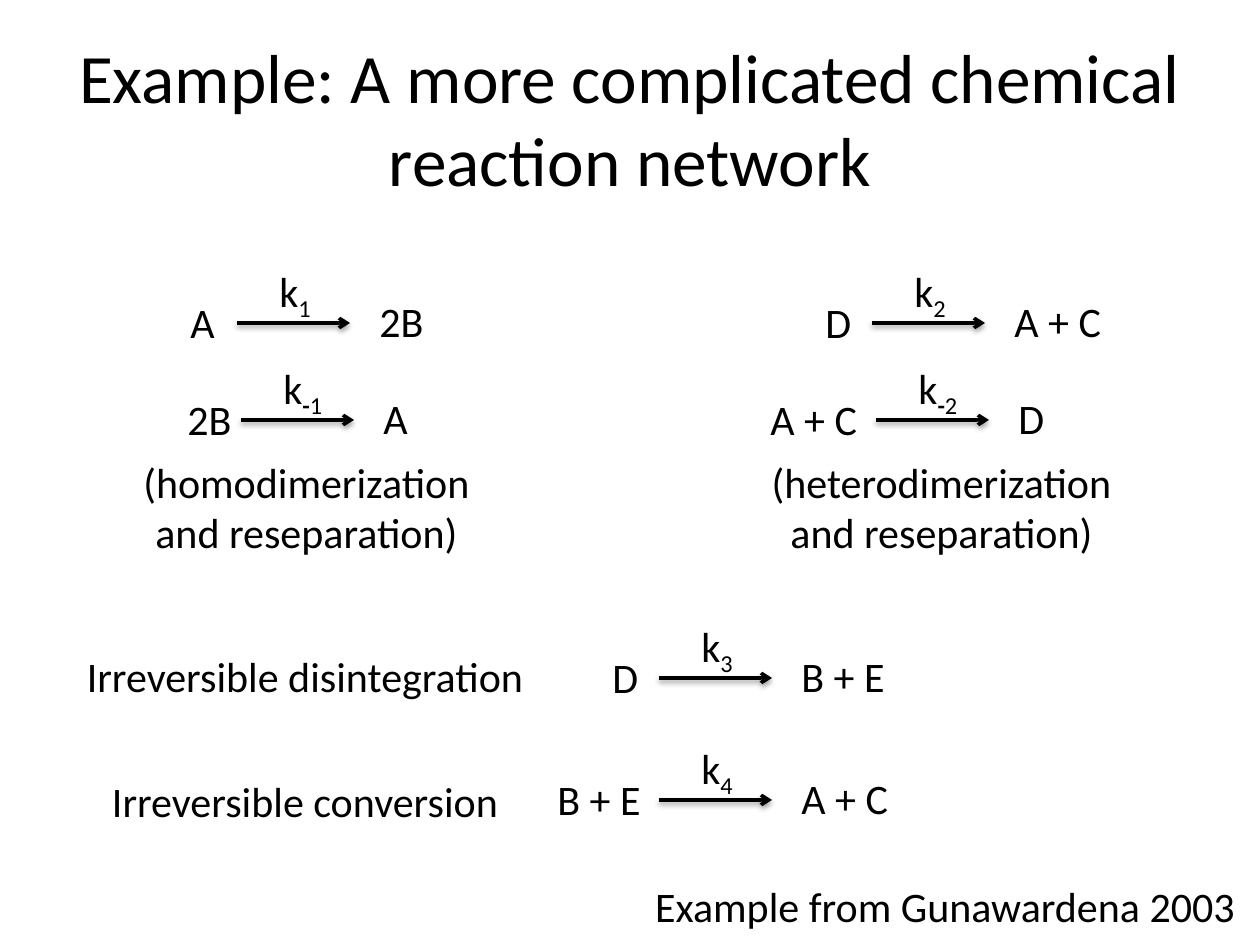
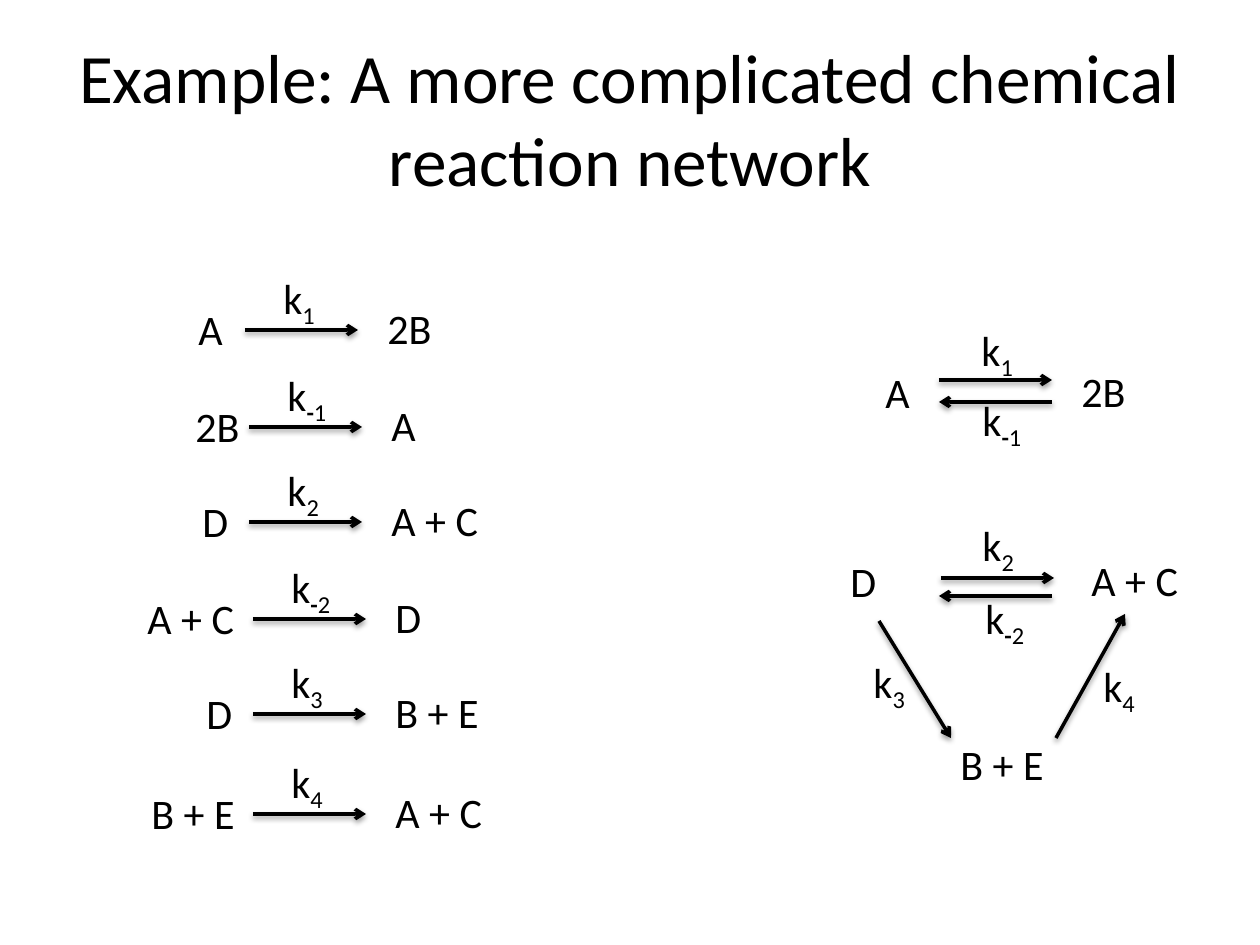
"""Build two slides on a chemical reaction network."""
import pptx
import pptx.util
import pptx.dml.color
import pptx.enum.shapes
import pptx.enum.text
import pptx.oxml
import pptx.oxml.ns

DPI = 126
FONT, INK = "Calibri", "000000"
HEAD, BODY = 39.6, 24
ARROW = 113
BOX = 63
TITLE = "Example: A more complicated chemical reaction network"

# left side, rate, right side, arrow start x, arrow y
FIRST = [
    ("A", "1", "2B", 237, 323),
    ("2B", "-1", "A", 241, 420),
    ("D", "2", "A + C", 872, 323),
    ("A + C", "-2", "D", 876, 420),
    ("D", "3", "B + E", 659, 678),
    ("B + E", "4", "A + C", 659, 800),
]
NOTES = [
    ("(homodimerization and reseparation)", 123, 450, 367),
    ("(heterodimerization and reseparation)", 743, 450, 397),
    ("Irreversible disintegration", 24, 644, 562),
    ("Irreversible conversion", 24, 769, 562),
    ("Example from Gunawardena 2003", 587, 874, 716),
]
SECOND = [
    ("A", "1", "2B", 245, 330),
    ("2B", "-1", "A", 249, 427),
    ("D", "2", "A + C", 249, 522),
    ("A + C", "-2", "D", 253, 619),
    ("D", "3", "B + E", 253, 714),
    ("B + E", "4", "A + C", 253, 814),
]
NODES = [
    ("A", 873, 360), ("2B", 1069, 359),
    ("D", 838, 549), ("A + C", 1079, 548), ("B + E", 948, 732),
]
RATES = [
    ("1", 969, 318), ("-1", 970, 388), ("2", 970, 513),
    ("-2", 973, 586), ("3", 861, 650), ("4", 1091, 654),
]
PATHS = [
    (939, 380, 1052, 380), (1052, 402, 939, 402),
    (941, 578, 1054, 578), (1052, 596, 939, 596),
    (879, 621, 951, 738), (1056, 738, 1125, 614),
]
WIDTH = {1: 59, 2: 90, 5: 131}
SHIFT = {"A": 59, "D": 59, "2B": 66, "A + C": 118, "B + E": 114}
GLOW = (
    '<a:effectLst %s><a:outerShdw blurRad="40000" dist="20000" dir="5400000" '
    'rotWithShape="0"><a:srgbClr val="%s"><a:alpha val="38000"/></a:srgbClr>'
    '</a:outerShdw></a:effectLst>' % (pptx.oxml.ns.nsdecls("a"), INK))
TIP = '<a:tailEnd %s type="arrow"/>' % pptx.oxml.ns.nsdecls("a")


def px(num):
    return pptx.util.Emu(round(num * 914400 / DPI))


def tint(code):
    return pptx.dml.color.RGBColor.from_string(code)


def write(slide, text, x, y, w, h=BOX, size=BODY, mid=False):
    frame = slide.shapes.add_textbox(px(x), px(y), px(w), px(h)).text_frame
    frame.word_wrap = True
    para = frame.paragraphs[0]
    para.font.name = FONT
    para.font.size = pptx.util.Pt(size)
    para.font.color.rgb = tint(INK)
    if mid:
        para.alignment = pptx.enum.text.PP_ALIGN.CENTER
    para.add_run().text = text
    return frame


def rate(slide, sub, x, y):
    para = write(slide, "k", x, y, 59 if len(sub) == 1 else 83).paragraphs[0]
    for sign in sub:
        run = para.add_run()
        run.text = sign
        run._r.get_or_add_rPr().set("baseline", "-25000")
        if sign == "-":
            run.font.bold = True


def arrow(slide, x1, y1, x2, y2):
    kind = pptx.enum.shapes.MSO_CONNECTOR.STRAIGHT
    link = slide.shapes.add_connector(kind, px(x1), px(y1), px(x2), px(y2))
    link.line.color.rgb = tint(INK)
    link.line.width = pptx.util.Pt(2)
    link.line._get_or_add_ln().append(pptx.oxml.parse_xml(TIP))
    link._element.spPr.append(pptx.oxml.parse_xml(GLOW))


def react(slide, rows, inset):
    for left, sub, right, x, y in rows:
        write(slide, left, x - SHIFT[left], y - 33, WIDTH[len(left)])
        arrow(slide, x, y, x + ARROW, y)
        write(slide, right, x + 130, y - 34, WIDTH[len(right)])
        rate(slide, sub, x + inset, y - 64)


def start(deck):
    slide = deck.slides.add_slide(deck.slide_layouts[6])
    frame = write(slide, TITLE, 63, 38, 1134, 158, HEAD, True)
    frame.vertical_anchor = pptx.enum.text.MSO_ANCHOR.MIDDLE
    return slide


def main():
    deck = pptx.Presentation()
    deck.slide_width, deck.slide_height = px(1260), px(945)

    slide = start(deck)
    react(slide, FIRST, 30)
    for text, x, y, w in NOTES:
        tall = 115 if text.startswith("(") else BOX
        write(slide, text, x, y, w, tall, mid=True)

    slide = start(deck)
    react(slide, SECOND, 26)
    for text, x, y in NODES:
        write(slide, text, x, y, WIDTH[len(text)])
    for sub, x, y in RATES:
        rate(slide, sub, x, y)
    for ends in PATHS:
        arrow(slide, *ends)

    deck.save("out.pptx")


if __name__ == "__main__":
    main()
